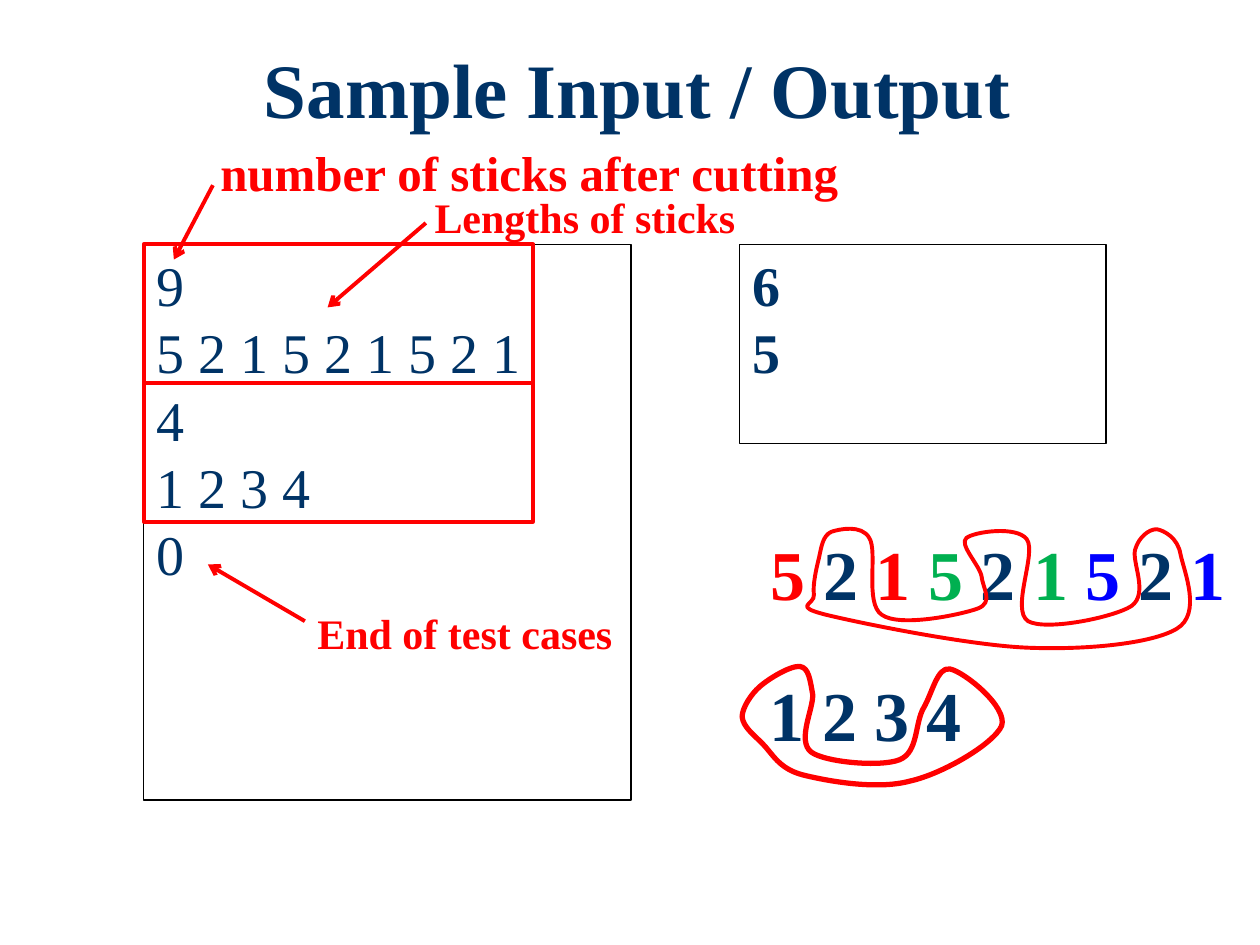
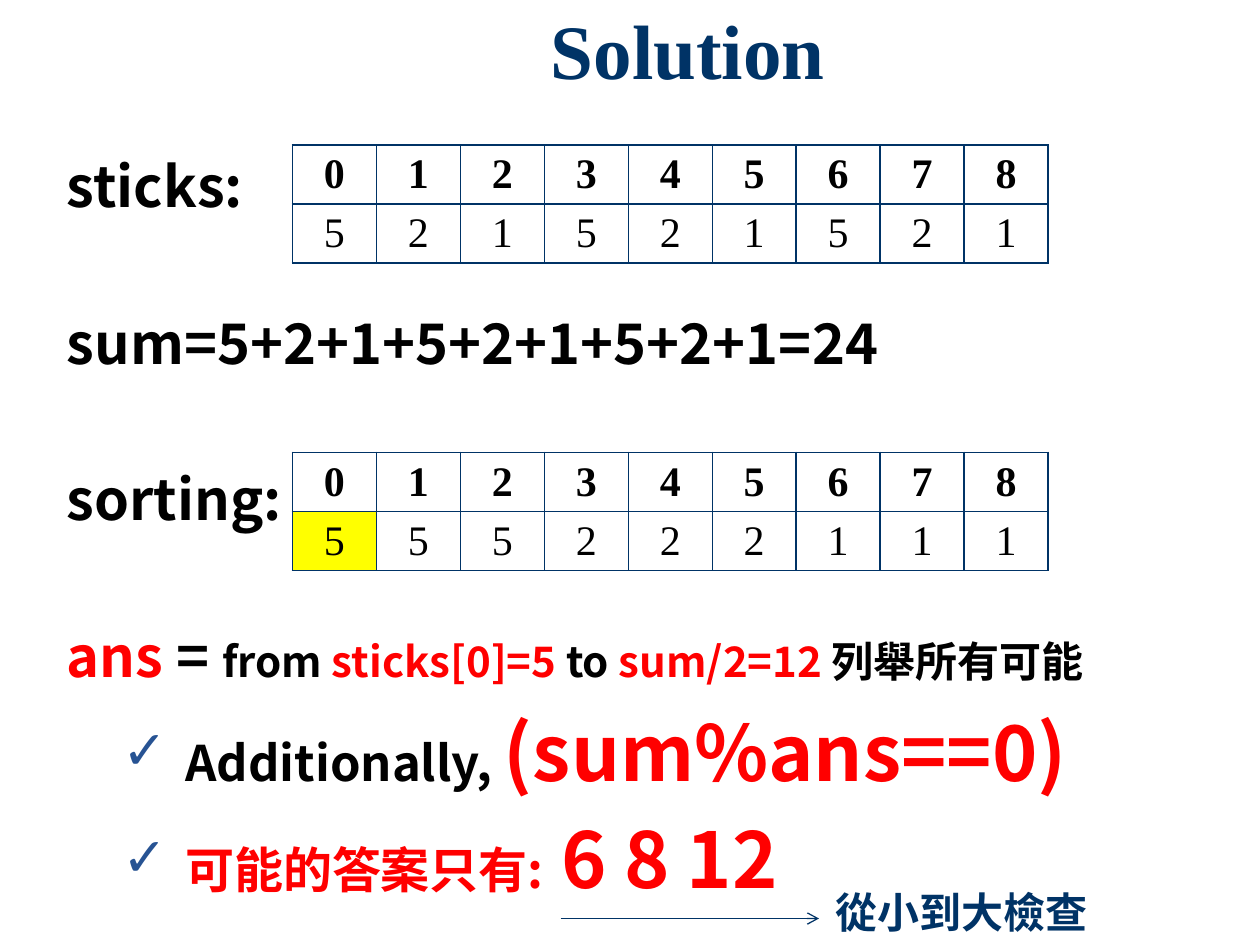
from lxml.etree import SubElement
from pptx import Presentation
from pptx.dml.color import RGBColor
from pptx.enum.shapes import MSO_CONNECTOR, MSO_SHAPE
from pptx.enum.text import MSO_ANCHOR, MSO_AUTO_SIZE, PP_ALIGN
from pptx.oxml.ns import qn
from pptx.util import Inches, Pt

NAVY = "003366"
RED = "FF0000"
GREEN = "00B050"
BLUE = "0000FF"
BLACK = "000000"
WHITE = "FFFFFF"
YELLOW = "FFFF00"
CHECK_BLUE = "275393"
SERIF = "Times New Roman"
SANS = "Noto Sans CJK SC"

FIRST_GROUPS = [
    (6.5, 4.43),
    (6.52, 4.34, 6.53, 4.25, 6.6, 4.22),
    (6.66, 4.2, 6.84, 4.16, 6.9, 4.27),
    (6.97, 4.38, 6.86, 4.79, 7, 4.88),
    (7.14, 4.98, 7.62, 4.88, 7.76, 4.83),
    (7.89, 4.78, 7.8, 4.67, 7.79, 4.57),
    (7.77, 4.48, 7.61, 4.32, 7.67, 4.27),
    (7.73, 4.22, 8.07, 4.17, 8.15, 4.28),
    (8.23, 4.39, 8.02, 4.84, 8.16, 4.93),
    (8.3, 5.01, 8.84, 4.9, 8.98, 4.81),
    (9.12, 4.71, 8.98, 4.46, 9.01, 4.36),
    (9.04, 4.26, 9.12, 4.2, 9.18, 4.2),
    (9.24, 4.21, 9.35, 4.27, 9.37, 4.4),
    (9.4, 4.54, 9.54, 4.87, 9.34, 4.99),
    (9.14, 5.11, 8.61, 5.16, 8.15, 5.14),
    (7.69, 5.12, 6.85, 4.95, 6.56, 4.88),
    (6.28, 4.81, 6.47, 4.8, 6.46, 4.72),
    (6.45, 4.64, 6.48, 4.51, 6.5, 4.43),
]
SECOND_GROUPS = [
    (5.89, 5.69),
    (5.89, 5.62, 5.96, 5.51, 6.03, 5.45),
    (6.11, 5.38, 6.28, 5.28, 6.35, 5.29),
    (6.42, 5.3, 6.43, 5.4, 6.45, 5.51),
    (6.46, 5.62, 6.32, 5.88, 6.44, 5.97),
    (6.55, 6.05, 6.99, 6.09, 7.14, 6.03),
    (7.29, 5.97, 7.26, 5.74, 7.33, 5.62),
    (7.4, 5.5, 7.44, 5.29, 7.54, 5.31),
    (7.65, 5.33, 8, 5.61, 7.95, 5.76),
    (7.89, 5.9, 7.49, 6.14, 7.22, 6.2),
    (6.96, 6.27, 6.57, 6.2, 6.37, 6.15),
    (6.18, 6.1, 6.13, 5.98, 6.05, 5.9),
    (5.98, 5.83, 5.9, 5.77, 5.89, 5.69),
]


def rgb(value):
    return RGBColor.from_string(value)


def add_span(para, text, size=32, color=NAVY, bold=True, font=SERIF):
    span = para.add_run()
    span.text = text
    span.font.size = Pt(size)
    span.font.bold = bold
    span.font.name = font
    span.font.color.rgb = rgb(color)
    SubElement(span.font._element, qn("a:ea"), typeface=font)


def place(shape, left, top, width, height):
    shape.left, shape.top = Inches(left), Inches(top)
    shape.width, shape.height = Inches(width), Inches(height)


def add_title(page, text, left, top):
    title = page.shapes.title
    place(title, left, top, 8, 0.92)
    title.text_frame.auto_size = MSO_AUTO_SIZE.NONE
    title.text_frame.vertical_anchor = MSO_ANCHOR.TOP
    para = title.text_frame.paragraphs[0]
    para.alignment = PP_ALIGN.CENTER
    para.line_spacing = 0.9
    add_span(para, text, size=44)


def add_label(page, left, top, width, height, spans, **style):
    box = page.shapes.add_textbox(*map(Inches, (left, top, width, height)))
    box.text_frame.word_wrap = False
    para = box.text_frame.paragraphs[0]
    for text, color in spans:
        add_span(para, text, color=color, **style)


def add_frame(page, left, top, width, height, color, weight, fill=None):
    frame = page.shapes.add_shape(
        MSO_SHAPE.RECTANGLE, *map(Inches, (left, top, width, height)))
    frame.shadow.inherit = False
    frame.line.color.rgb = rgb(color)
    frame.line.width = Pt(weight)
    if fill:
        frame.fill.solid()
        frame.fill.fore_color.rgb = rgb(fill)
    else:
        frame.fill.background()
    return frame


def add_listing(page, left, top, width, height, lines, bold):
    frame = add_frame(page, left, top, width, height, BLACK, 1, WHITE)
    text_frame = frame.text_frame
    text_frame.word_wrap = True
    text_frame.vertical_anchor = MSO_ANCHOR.TOP
    for index, line in enumerate(lines):
        para = text_frame.add_paragraph() if index else text_frame.paragraphs[0]
        para.alignment = PP_ALIGN.LEFT
        add_span(para, line, bold=bold)


def add_arrow(page, start, end, color, weight):
    arrow = page.shapes.add_connector(
        MSO_CONNECTOR.STRAIGHT, *map(Inches, (*start, *end)))
    arrow.line.color.rgb = rgb(color)
    arrow.line.width = Pt(weight)
    SubElement(arrow.line._get_or_add_ln(), qn("a:tailEnd"), type="arrow")
    SubElement(arrow._element.spPr, qn("a:effectLst"))


def bend_segments(loop, curves):
    outline = loop._element.find(".//" + qn("a:path"))
    outline.set("w", str(loop.width))
    outline.set("h", str(loop.height))
    start = outline.find(".//" + qn("a:pt"))
    start.set("x", str(Inches(curves[-1][4]) - loop.left))
    start.set("y", str(Inches(curves[-1][5]) - loop.top))
    for segment, curve in zip(outline.findall(qn("a:lnTo")), curves):
        bend = SubElement(outline, qn("a:cubicBezTo"))
        for x, y in zip(curve[::2], curve[1::2]):
            SubElement(bend, qn("a:pt"), x=str(Inches(x) - loop.left),
                       y=str(Inches(y) - loop.top))
        outline.replace(segment, bend)


def add_loop(page, outline, bounds, weight):
    start, *curves = outline
    builder = page.shapes.build_freeform(*map(Inches, start))
    corners = [(Inches(curve[4]), Inches(curve[5])) for curve in curves]
    builder.add_line_segments(corners, close=True)
    loop = builder.convert_to_shape()
    place(loop, *bounds)
    bend_segments(loop, curves)
    loop.shadow.inherit = False
    loop.fill.background()
    loop.line.color.rgb = rgb(RED)
    loop.line.width = Pt(weight)


def add_borders(cell, color):
    properties = cell._tc.get_or_add_tcPr()
    for side in ("lnL", "lnR", "lnT", "lnB"):
        border = SubElement(properties, qn(f"a:{side}"), w=str(Pt(1)))
        fill = SubElement(border, qn("a:solidFill"))
        SubElement(fill, qn("a:srgbClr"), val=color)


def add_stick_table(page, top, lengths, marked=None):
    rows = [range(len(lengths)), lengths]
    table = page.shapes.add_table(
        2, len(lengths), *map(Inches, (2.32, top, 6, 0.82))).table
    table.first_row = table.horz_banding = False
    for row_index, values in enumerate(rows):
        for column, value in enumerate(values):
            cell = table.cell(row_index, column)
            add_borders(cell, NAVY)
            cell.fill.solid()
            highlighted = (row_index, column) == marked
            cell.fill.fore_color.rgb = rgb(YELLOW if highlighted else WHITE)
            para = cell.text_frame.paragraphs[0]
            para.alignment = PP_ALIGN.CENTER
            add_span(para, str(value), size=24, color=BLACK, bold=row_index == 0)


def set_bullet(para, checked):
    properties = para._p.get_or_add_pPr()
    properties.set("marL", str(Inches(0.94 if checked else 0)))
    properties.set("indent", str(Inches(-0.5 if checked else 0)))
    if checked:
        para.level = 1
        tint = SubElement(properties, qn("a:buClr"))
        SubElement(tint, qn("a:srgbClr"), val=CHECK_BLUE)
        SubElement(properties, qn("a:buSzPct"), val="110000")
        SubElement(properties, qn("a:buChar"), char="✓")
    else:
        SubElement(properties, qn("a:buNone"))


def add_steps(page, steps):
    body = page.placeholders[1]
    place(body, 0.43, 1.15, 9.15, 5.37)
    text_frame = body.text_frame
    text_frame.auto_size = MSO_AUTO_SIZE.NONE
    for index, (checked, spans) in enumerate(steps):
        para = text_frame.add_paragraph() if index else text_frame.paragraphs[0]
        set_bullet(para, checked)
        para.space_before = Pt(0 if index == 0 else 8.8 if checked else 51.2)
        for text, size, color in spans:
            add_span(para, text, size=size, color=color, font=SANS)


def build_sample_page(deck):
    page = deck.slides.add_slide(deck.slide_layouts[5])
    add_title(page, "Sample Input / Output", 1.06, 0.36)
    sample_input = ["9", "5 2 1 5 2 1 5 2 1", "4", "1 2 3 4", "0"]
    add_listing(page, 1.14, 1.94, 3.87, 4.41, sample_input, bold=False)
    add_listing(page, 5.87, 1.94, 2.91, 1.58, ["6", "5"], bold=True)
    add_label(page, 1.65, 1.08, 5.16, 0.57,
              [("number of sticks after cutting", RED)], size=28)
    add_label(page, 3.35, 1.47, 2.62, 0.5, [("Lengths of sticks", RED)], size=24)
    for case in range(2):
        add_frame(page, 1.14, 1.94 + 1.1 * case, 3.09, 1.1, RED, 2.25)
    for start, end in [((1.69, 1.47), (1.38, 2.06)),
                       ((3.38, 1.77), (2.6, 2.44)),
                       ((2.42, 4.93), (1.65, 4.48))]:
        add_arrow(page, start, end, RED, 2.25)
    add_label(page, 2.42, 4.77, 2.57, 0.5, [("End of test cases", RED)], size=24)
    add_label(page, 6.01, 5.28, 1.74, 0.77, [("1 2 3 4", NAVY)], size=40)
    add_loop(page, SECOND_GROUPS, (5.89, 5.29, 2.06, 0.94), 3)
    add_label(page, 6.02, 4.16, 3.85, 0.77, [
        ("5", RED), (" 2 ", NAVY), ("1 ", RED),
        ("5", GREEN), (" 2 ", NAVY), ("1 ", GREEN),
        ("5", BLUE), (" 2 ", NAVY), ("1", BLUE)], size=40)
    add_loop(page, FIRST_GROUPS, (6.41, 4.19, 3.04, 0.95), 2.25)


def build_solution_page(deck):
    page = deck.slides.add_slide(deck.slide_layouts[1])
    add_title(page, "Solution", 1.46, 0.05)
    add_steps(page, [
        (False, [("sticks:", 32, BLACK)]),
        (False, [("sum=5+2+1+5+2+1+5+2+1=24", 32, BLACK)]),
        (False, [("sorting:", 32, BLACK)]),
        (False, [("ans", 32, RED), (" = ", 32, BLACK), ("from ", 24, BLACK),
                 ("sticks[0]=5 ", 24, RED), ("to ", 24, BLACK),
                 ("sum/2=12 ", 24, RED), ("列舉所有可能", 24, BLACK)]),
        (True, [("Additionally, ", 28, BLACK), ("(sum%ans==0)", 44, RED)]),
        (True, [("可能的答案只有:", 28, RED), (" 6 8 12", 44, RED)]),
    ])
    sticks = [5, 2, 1] * 3
    add_stick_table(page, 3.59, sorted(sticks, reverse=True), marked=(1, 0))
    add_stick_table(page, 1.15, sticks)
    add_arrow(page, (4.45, 7.29), (6.5, 7.29), NAVY, 0.75)
    add_label(page, 6.53, 6.99, 2.22, 0.5, [("從小到大檢查", NAVY)], size=24, font=SANS)


def main():
    deck = Presentation()
    deck.slide_width, deck.slide_height = Inches(10), Inches(7.5)
    build_sample_page(deck)
    build_solution_page(deck)
    deck.save("out.pptx")


if __name__ == "__main__":
    main()
